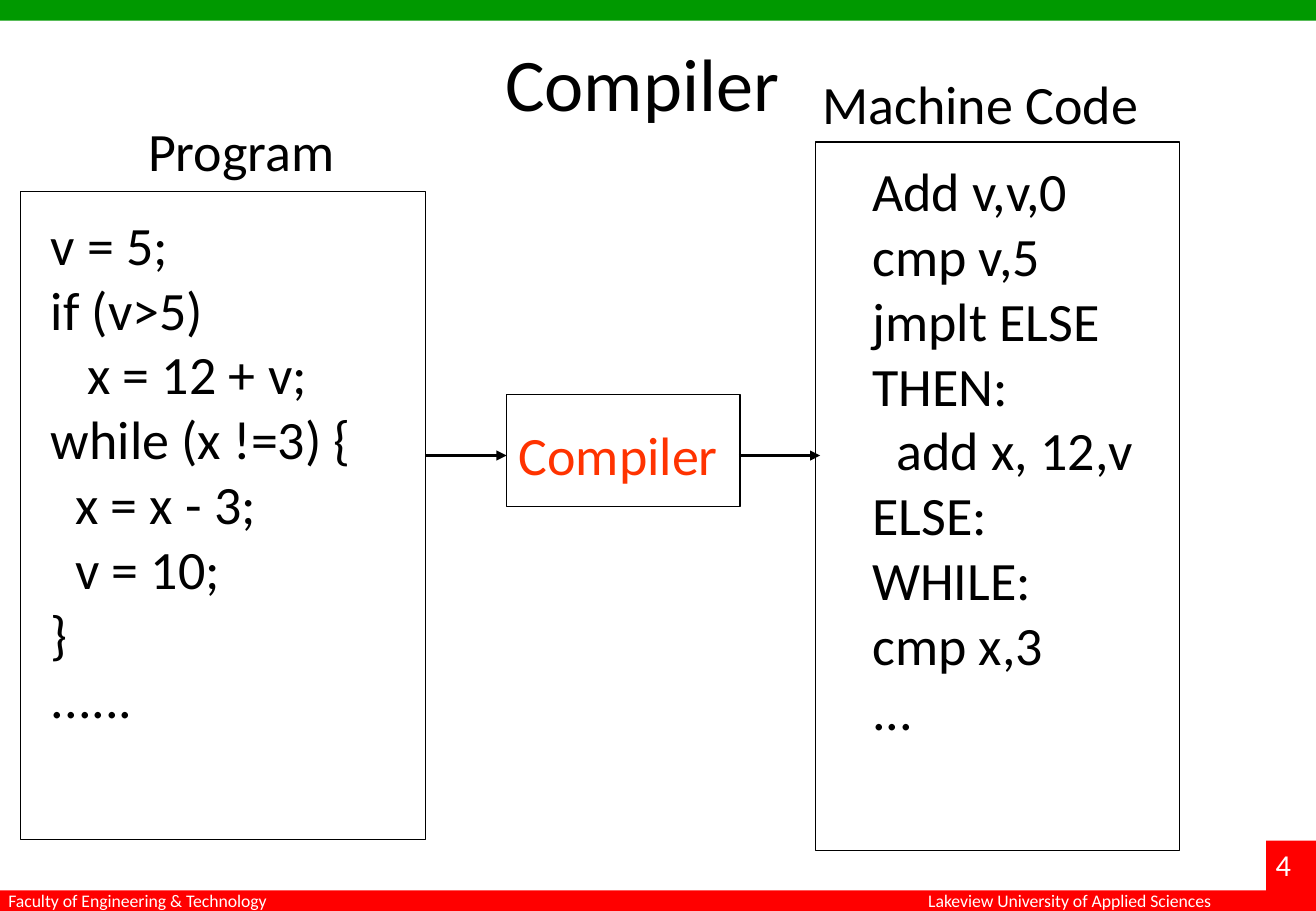
"""Build a slide showing a compiler turning a program into machine code."""
from dataclasses import dataclass

from lxml.etree import SubElement
from pptx import Presentation
from pptx.dml.color import RGBColor as Color
from pptx.enum.shapes import MSO_CONNECTOR as Connector, MSO_SHAPE as Shape
from pptx.enum.text import MSO_AUTO_SIZE as AutoSize
from pptx.oxml.ns import qn
from pptx.util import Inches, Pt


@dataclass(frozen=True)
class Theme:
    font: str = "Calibri"
    title_size: float = 44
    body_size: float = 32
    number_size: float = 18
    footer_size: float = 10.5
    box_line: float = 0.75
    arrow_line: float = 2
    black: Color = Color(0, 0, 0)
    white: Color = Color(255, 255, 255)
    green: Color = Color(0, 0x99, 0)
    red: Color = Color(255, 0, 0)
    orange: Color = Color(255, 0x33, 0)


THEME = Theme()
INDENT_STEP = 0.1
PROGRAM = [
    ("v = 5;", 0), ("if (v>5)", 0), ("x = 12 + v;", 3), ("while (x !=3) {", 0),
    ("x = x - 3;", 2), ("v = 10;", 2), ("}", 0), ("......", 0),
]
MACHINE_CODE = [
    ("Add v,v,0", 0), ("cmp v,5", 0), ("jmplt ELSE", 0), ("THEN:", 0),
    ("add x, 12,v", 2), ("ELSE:", 0), ("WHILE:", 0), ("cmp x,3", 0), ("...", 0),
]


def add_box(page, left, top, width, height, fill=None):
    box = page.shapes.add_shape(
        Shape.RECTANGLE, Inches(left), Inches(top), Inches(width), Inches(height))
    box.shadow.inherit = False
    if fill is None:
        box.fill.background()
        box.line.color.rgb = THEME.black
        box.line.width = Pt(THEME.box_line)
    else:
        box.fill.solid()
        box.fill.fore_color.rgb = fill
        box.line.fill.background()


def add_lines(page, lines, left, top, width, height,
              size=THEME.body_size, color=THEME.black):
    box = page.shapes.add_textbox(
        Inches(left), Inches(top), Inches(width), Inches(height))
    frame = box.text_frame
    frame.word_wrap = False
    frame.auto_size = AutoSize.SHAPE_TO_FIT_TEXT
    for index, (text, indent) in enumerate(lines):
        para = frame.add_paragraph() if index else frame.paragraphs[0]
        if indent:
            margin = Inches(indent * INDENT_STEP)
            para._p.get_or_add_pPr().set("marL", str(margin))
        span = para.add_run()
        span.text = text
        span.font.name = THEME.font
        span.font.size = Pt(size)
        span.font.color.rgb = color


def add_label(page, text, *place, **style):
    add_lines(page, [(text, 0)], *place, **style)


def add_arrow(page, start, end, height):
    arrow = page.shapes.add_connector(
        Connector.STRAIGHT, Inches(start), Inches(height), Inches(end), Inches(height))
    arrow.line.color.rgb = THEME.black
    arrow.line.width = Pt(THEME.arrow_line)
    SubElement(arrow.line._get_or_add_ln(), qn("a:tailEnd"), type="triangle")
    SubElement(arrow._element.spPr, qn("a:effectLst"))


def add_frame(page):
    footer = {"size": THEME.footer_size, "color": THEME.white}
    add_box(page, 0, 0, 10.83, 0.17, THEME.green)
    add_box(page, 0, 7.33, 10.83, 0.17, THEME.red)
    add_label(page, "Lakeview University of Applied Sciences",
              7.54, 7.28, 2.55, 0.28, **footer)
    add_box(page, 10.42, 6.92, 0.42, 0.58, THEME.red)
    add_label(page, "4", 10.4, 6.92, 0.5, 0.4,
              size=THEME.number_size, color=THEME.white)
    add_label(page, "Faculty of Engineering & Technology",
              -0.03, 7.28, 2.38, 0.28, **footer)


def add_flow(page):
    add_box(page, 4.17, 3.25, 1.92, 0.92)
    add_label(page, "Compiler", 4.17, 3.42, 1.86, 0.64, color=THEME.orange)
    add_box(page, 0.17, 1.58, 3.33, 5.33)
    add_box(page, 6.71, 1.17, 3, 5.83)
    add_label(page, "Program", 1.12, 0.92, 1.75, 0.64)
    add_lines(page, PROGRAM, 0.32, 1.69, 2.7, 4.41)
    add_lines(page, MACHINE_CODE, 7.08, 1.25, 2.35, 4.95)
    add_label(page, "Machine Code", 6.67, 0.53, 2.83, 0.64)
    for start, end in ((3.5, 4.17), (6.08, 6.75)):
        add_arrow(page, start, end, 3.75)


def main():
    deck = Presentation()
    deck.slide_width, deck.slide_height = Inches(10.83), Inches(7.5)
    page = deck.slides.add_slide(deck.slide_layouts[6])
    add_frame(page)
    add_flow(page)
    add_label(page, "Compiler", 4.06, 0.26, 2.48, 0.84, size=THEME.title_size)
    deck.save("out.pptx")


main()
